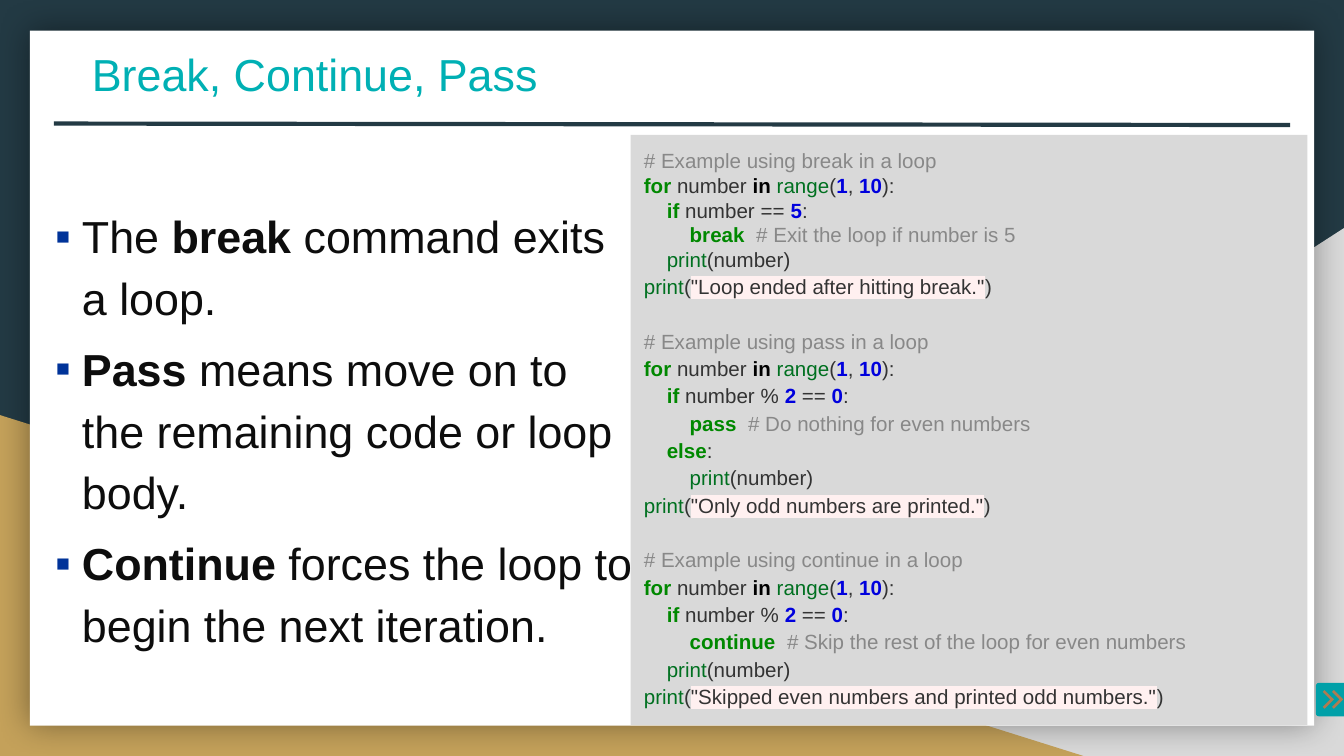
from lxml import etree
from pptx import Presentation
from pptx import util as u
from pptx.dml.color import RGBColor
from pptx.enum import shapes, text
from pptx.oxml.ns import qn

Pt = u.Pt
FONT = "Arial"
NAVY, GREY, GOLD = "233A44", "D9D9D9", "C4A15A"

# Code styles: colour, bold, highlight
WORD = ("008800", True, None)
LINK = ("000000", True, None)
FUNC = ("007020", False, None)
NUM = ("0000DD", True, None)
NOTE = ("888888", False, None)
BASE = ("333333", False, None)
QUOTE = ("333333", False, "FFF0F0")

POINTS = [
    [("The ", False), ("break ", True), ("command exits a loop.", False)],
    [("Pass ", True),
     ("means move on to the remaining code or loop body.", False)],
    [("Continue ", True),
     ("forces the loop to begin the next iteration.", False)],
]


def rgb(code):
    return RGBColor.from_string(code)


def add_sub(parent, tag, **attrs):
    return etree.SubElement(parent, qn(tag), attrs)


def add_run(para, words, size, color, bold=False, mark=None):
    run = para.add_run()
    run.text = words
    font = run.font
    font.size, font.bold = Pt(size), bold
    font.color.rgb = rgb(color)
    if mark:
        light = add_sub(font._element, "a:highlight")
        add_sub(light, "a:srgbClr", val=mark)
    font.name = FONT


def paint(shape, color):
    shape.shadow.inherit = False
    shape.fill.solid()
    shape.fill.fore_color.rgb = rgb(color)
    shape.line.fill.background()
    return shape


def add_box(slide, kind, box, color):
    return paint(slide.shapes.add_shape(kind, *map(Pt, box)), color)


def add_glow(shape):
    """Put a soft, centred dark shadow round the shape."""
    glow = add_sub(shape._element.spPr.find(qn("a:effectLst")), "a:outerShdw",
                   blurRad=str(Pt(18)), dist="0", dir="0")
    tint = add_sub(glow, "a:srgbClr", val="000000")
    add_sub(tint, "a:alpha", val="40000")


def add_rule(slide):
    rule = slide.shapes.add_connector(
        shapes.MSO_CONNECTOR.STRAIGHT, Pt(28.8), Pt(66.2), Pt(691.2), Pt(67))
    rule.line.color.rgb = rgb(NAVY)
    rule.line.width = Pt(2.25)
    add_sub(rule._element.spPr, "a:effectLst")


def add_back(slide):
    kind = shapes.MSO_SHAPE
    fill = slide.background.fill
    fill.solid()
    fill.fore_color.rgb = rgb(NAVY)
    wedge = add_box(slide, kind.RIGHT_TRIANGLE, (282, 122.2, 438, 282.8), GREY)
    wedge._element.spPr.xfrm.set("flipH", "1")
    add_box(slide, kind.RIGHT_TRIANGLE, (0, 222.4, 580.4, 182.6), GOLD)
    add_glow(add_box(slide, kind.RECTANGLE, (16, 16.4, 688, 372.4), "FFFFFF"))
    add_rule(slide)


def place(slide, holder, box):
    """Move a placeholder in front of what is drawn so far."""
    holder.left, holder.top, holder.width, holder.height = map(Pt, box)
    slide.shapes._spTree.append(holder._element)
    frame = holder.text_frame
    frame.auto_size = text.MSO_AUTO_SIZE.NONE
    frame.word_wrap = True
    return frame


def add_title(slide):
    frame = place(slide, slide.shapes.title, (42, 25.2, 648, 28))
    frame.vertical_anchor = text.MSO_ANCHOR.MIDDLE
    para = frame.paragraphs[0]
    para.alignment = text.PP_ALIGN.LEFT
    add_run(para, "Break, Continue, Pass", 24, "00B0B4")


def add_bullet(para):
    props = para._p.get_or_add_pPr()
    props.set("marL", str(Pt(14.4)))
    props.set("indent", str(Pt(-14.4)))
    add_sub(add_sub(props, "a:buClr"), "a:srgbClr", val="003399")
    add_sub(props, "a:buFont", typeface=FONT)
    add_sub(props, "a:buChar", char="▪")


def add_list(slide):
    frame = place(slide, slide.placeholders[1], (22.3, 104, 328.4, 224))
    frame.vertical_anchor = text.MSO_ANCHOR.TOP
    for i, runs in enumerate(POINTS):
        para = frame.add_paragraph() if i else frame.paragraphs[0]
        add_bullet(para)
        para.alignment = text.PP_ALIGN.LEFT
        para.line_spacing = 1.15
        para.space_before = Pt(4.8 if i else 0)
        for words, bold in runs:
            add_run(para, words, 24, "0D0D0D", bold)


def add_icon(slide):
    tile = add_box(slide, shapes.MSO_SHAPE.ROUNDED_RECTANGLE,
                   (704.9, 365.8, 18, 18), "00A0A8")
    tile.adjustments[0] = 0.1
    arrow = [(1, 0), (6, 5), (1, 10), (0, 9), (4, 5), (0, 1)]
    for left in (708.6, 713.6):
        dots = [(Pt(left + x), Pt(369.7 + y)) for x, y in arrow]
        pen = slide.shapes.build_freeform(*dots[0])
        pen.add_line_segments(dots[1:], close=True)
        paint(pen.convert_to_shape(), "AF7B51")


def indent(depth):
    return " " * 4 * depth, BASE


def show(depth, arg, style=BASE):
    """Return the tokens of a print call."""
    return [indent(depth), ("print", FUNC), ("(", BASE), (arg, style),
            (")", BASE)]


def test(sign, *nums):
    """Return the tokens of an if line: number, sign, then the numbers."""
    line = [indent(1), ("if", WORD), (f" number {sign} ", BASE)]
    for i, num in enumerate(nums):
        line += [(" == ", BASE)] * (i > 0) + [(num, NUM)]
    return line + [(":", BASE)]


def example(word, cond, note, rest, end):
    """Return the lines of one loop example."""
    return [
        [(f"# Example using {word} in a loop", NOTE)],
        [("for", WORD), (" number ", BASE), ("in ", LINK), ("range", FUNC),
         ("(", BASE), ("1", NUM), (", ", BASE), ("10", NUM), ("):", BASE)],
        cond,
        [indent(2), (f"{word}  ", WORD), (f"# {note}", NOTE)],
        *rest,
        show(0, f'"{end}"', QUOTE),
    ]


def add_code(slide):
    even = test("%", "2", "0")
    other = [indent(1), ("else", WORD), (":", BASE)]
    parts = [
        example("break", test("==", "5"), "Exit the loop if number is 5",
                [show(1, "number")], "Loop ended after hitting break."),
        example("pass", even, "Do nothing for even numbers",
                [other, show(2, "number")], "Only odd numbers are printed."),
        example("continue", even, "Skip the rest of the loop for even numbers",
                [show(1, "number")],
                "Skipped even numbers and printed odd numbers."),
    ]
    panel = add_box(slide, shapes.MSO_SHAPE.RECTANGLE,
                    (337.9, 72.2, 362.6, 316.2), GREY)
    frame = panel.text_frame
    frame.word_wrap = True
    frame.vertical_anchor = text.MSO_ANCHOR.TOP
    frame.margin_left = frame.margin_right = Pt(7.2)
    frame.margin_top = frame.margin_bottom = Pt(7.2)
    for i, part in enumerate(parts):
        for j, line in enumerate(part):
            para = frame.add_paragraph() if i or j else frame.paragraphs[0]
            para.alignment = text.PP_ALIGN.LEFT
            para.line_spacing = 1.0 if i == 0 and j < 5 else 1.11
            para.space_before = Pt(14.5 if i and j == 0 else 0)
            for words, style in line:
                if words:
                    color, bold, mark = style
                    add_run(para, words, 11, color, bold, mark)


def main():
    deck = Presentation()
    deck.slide_width, deck.slide_height = Pt(720), Pt(405)
    slide = deck.slides.add_slide(deck.slide_layouts[1])
    add_back(slide)
    add_title(slide)
    add_list(slide)
    add_icon(slide)
    add_code(slide)
    deck.save("out.pptx")


if __name__ == "__main__":
    main()
